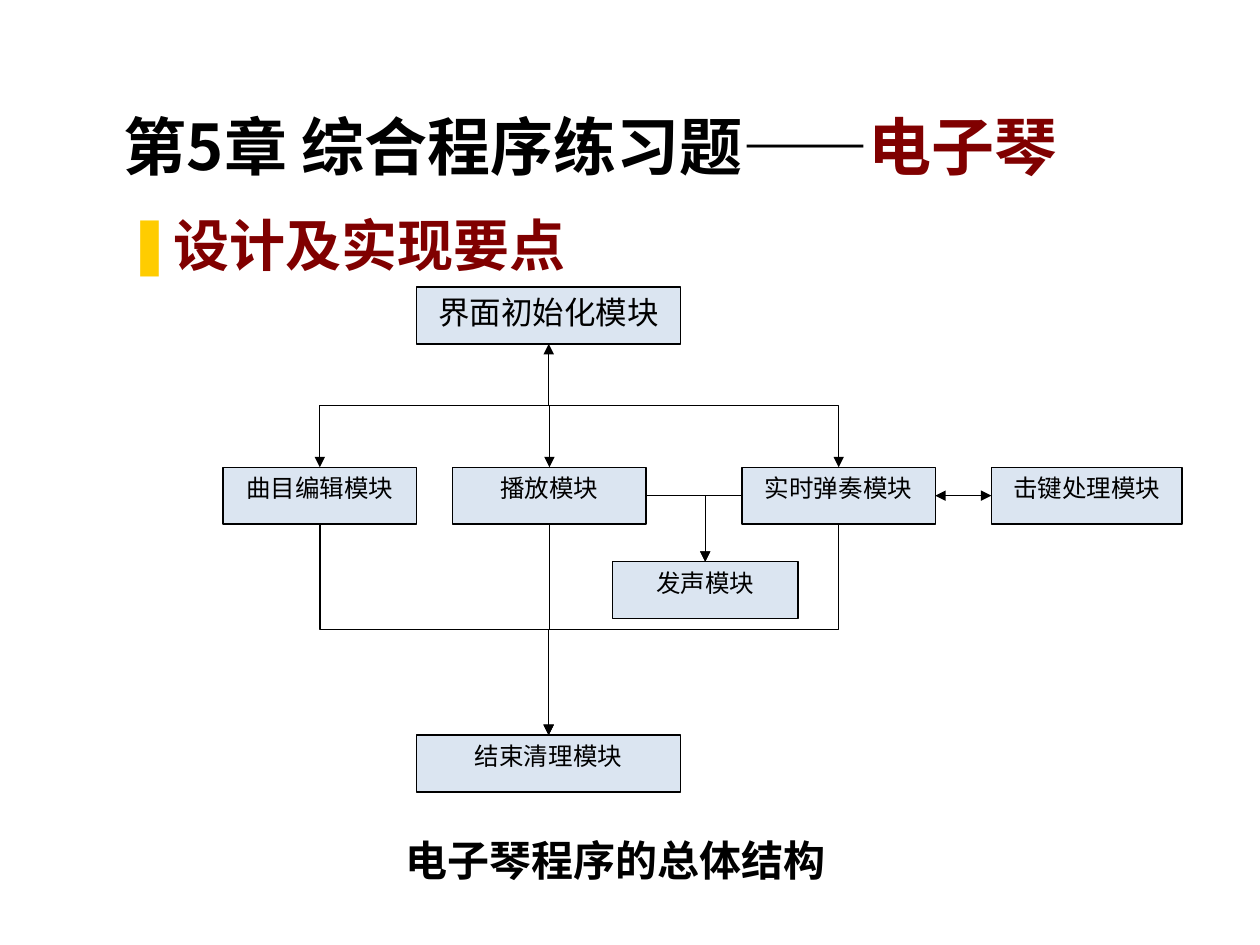
from lxml.etree import SubElement
from pptx import Presentation
from pptx.dml.color import RGBColor
from pptx.enum.shapes import MSO_CONNECTOR as LINK, MSO_SHAPE as SHAPE
from pptx.enum.text import MSO_ANCHOR as ANCHOR, MSO_AUTO_SIZE as FIT, PP_ALIGN as ALIGN
from pptx.oxml.ns import qn
from pptx.util import Pt

BLACK = RGBColor(0, 0, 0)
WHITE = RGBColor(0xFF, 0xFF, 0xFF)
MAROON = RGBColor(0x80, 0, 0)
PALE_BLUE = RGBColor(0xDB, 0xE5, 0xF1)
CJK_FONT = "Noto Sans CJK SC"
TOP, LEFT, BOTTOM, RIGHT = range(4)


def style_span(span, size, font_name, color=BLACK, bold=False):
    font = span.font
    font.size, font.name, font.bold = Pt(size), font_name, bold
    font.color.rgb = color
    SubElement(font._element, qn("a:ea"), typeface=CJK_FONT)


def style_link(link, ends):
    """Draw a thin black line with triangles at the named ends."""
    link.line.color.rgb = BLACK
    link.line.width = Pt(0.75)
    line = link.line._get_or_add_ln()
    for end in ends:
        SubElement(line, qn("a:" + end), type="triangle")
    SubElement(link._element.spPr, qn("a:effectLst"))


deck = Presentation()
deck.slide_width, deck.slide_height = Pt(720), Pt(540)
page = deck.slides.add_slide(deck.slide_layouts[1])

# Title and heading
title, body = page.placeholders
for box, (left, top, width, height), anchor in (
    (title, (31.5, 18, 612, 90), ANCHOR.BOTTOM),
    (body, (65, 116.5, 372, 50), ANCHOR.TOP),
):
    box.left, box.top, box.width, box.height = Pt(left), Pt(top), Pt(width), Pt(height)
    box.text_frame.auto_size = FIT.NONE
    box.text_frame.vertical_anchor = anchor

para = title.text_frame.paragraphs[0]
para.alignment = ALIGN.CENTER
for text, color in (("第5章 综合程序练习题——", BLACK), ("电子琴", MAROON)):
    span = para.add_run()
    span.text = text
    style_span(span, 36, CJK_FONT, color, True)

para = body.text_frame.paragraphs[0]
para.text = "设计及实现要点"
para.alignment = ALIGN.JUSTIFY
para.space_before = Pt(0)
bullet = para._p.get_or_add_pPr()
bullet.set("marL", str(Pt(27)))
bullet.set("indent", str(-Pt(27)))
SubElement(SubElement(bullet, qn("a:buClr")), qn("a:srgbClr"), val="FFCC00")
SubElement(bullet, qn("a:buChar"), char="❚")
style_span(para.runs[0], 32, "Lato", MAROON, True)

# Modules
modules = {}
for name, left, top, width, size in (
    ("界面初始化模块", 238, 164, 151, 18),
    ("结束清理模块", 238, 420, 151, 14),
    ("播放模块", 258.75, 267, 110.5, 14),
    ("发声模块", 350, 321, 106, 14),
    ("击键处理模块", 566.5, 267, 109, 14),
    ("实时弹奏模块", 424, 267, 110.5, 14),
    ("曲目编辑模块", 127.5, 267, 110.5, 14),
):
    box = page.shapes.add_shape(SHAPE.FLOWCHART_PROCESS, Pt(left), Pt(top), Pt(width), Pt(32.5))
    box.shadow.inherit = False
    box.fill.solid()
    box.fill.fore_color.rgb = PALE_BLUE
    box.line.color.rgb = BLACK
    box.line.width = Pt(0.75)
    box.text_frame.text = name
    box.text_frame.vertical_anchor = ANCHOR.TOP
    para = box.text_frame.paragraphs[0]
    para.alignment = ALIGN.CENTER
    style_span(para.runs[0], size, "Times New Roman")
    modules[name] = box

# Branches down from the first row and on to the last, bent halfway
for source, target, ends in (
    ("界面初始化模块", "曲目编辑模块", ["tailEnd"]),
    ("界面初始化模块", "播放模块", ["tailEnd"]),
    ("界面初始化模块", "实时弹奏模块", ["headEnd", "tailEnd"]),
    ("曲目编辑模块", "结束清理模块", ["tailEnd"]),
    ("实时弹奏模块", "结束清理模块", ["tailEnd"]),
    ("播放模块", "结束清理模块", ["tailEnd"]),
):
    upper, lower = modules[source], modules[target]
    start_x, start_y = upper.left + upper.width // 2, upper.top + upper.height
    end_x, end_y = lower.left + lower.width // 2, lower.top
    link = page.shapes.add_connector(LINK.ELBOW, 0, 0, 0, 0)
    link.begin_connect(upper, BOTTOM)
    link.end_connect(lower, TOP)
    frame = link._element.spPr.find(qn("a:xfrm"))
    for flip in ("flipH", "flipV"):
        frame.attrib.pop(flip, None)
    # A quarter turn makes the elbow leave and arrive vertically
    link.width, link.height = end_y - start_y, abs(end_x - start_x)
    link.left = (start_x + end_x - link.width) // 2
    link.top = (start_y + end_y - link.height) // 2
    if end_x < start_x:
        frame.set("rot", str(90 * 60000))
    else:
        frame.set("rot", str(270 * 60000))
        frame.set("flipH", "1")
    style_link(link, ends)

# Single bends into the sound module
for source, side in (("播放模块", RIGHT), ("实时弹奏模块", LEFT)):
    link = page.shapes.add_connector(LINK.ELBOW, 0, 0, 0, 0)
    link.begin_connect(modules[source], side)
    link.end_connect(modules["发声模块"], TOP)
    link._element.spPr.find(qn("a:prstGeom")).set("prst", "bentConnector2")
    style_link(link, ["tailEnd"])

link = page.shapes.add_connector(LINK.STRAIGHT, 0, 0, 0, 0)
link.begin_connect(modules["实时弹奏模块"], RIGHT)
link.end_connect(modules["击键处理模块"], LEFT)
style_link(link, ["headEnd", "tailEnd"])

# Caption
caption = page.shapes.add_shape(SHAPE.RECTANGLE, Pt(201.5), Pt(468.5), Pt(306), Pt(45.5))
caption.shadow.inherit = False
caption.fill.solid()
caption.fill.fore_color.rgb = WHITE
caption.line.color.rgb = WHITE
caption.line.width = Pt(0)
caption.text_frame.text = "电子琴程序的总体结构 "
caption.text_frame.word_wrap = False
caption.text_frame.vertical_anchor = ANCHOR.MIDDLE
para = caption.text_frame.paragraphs[0]
para.alignment = ALIGN.CENTER
style_span(para.runs[0], 24, "Times New Roman", BLACK, True)

deck.save("out.pptx")
